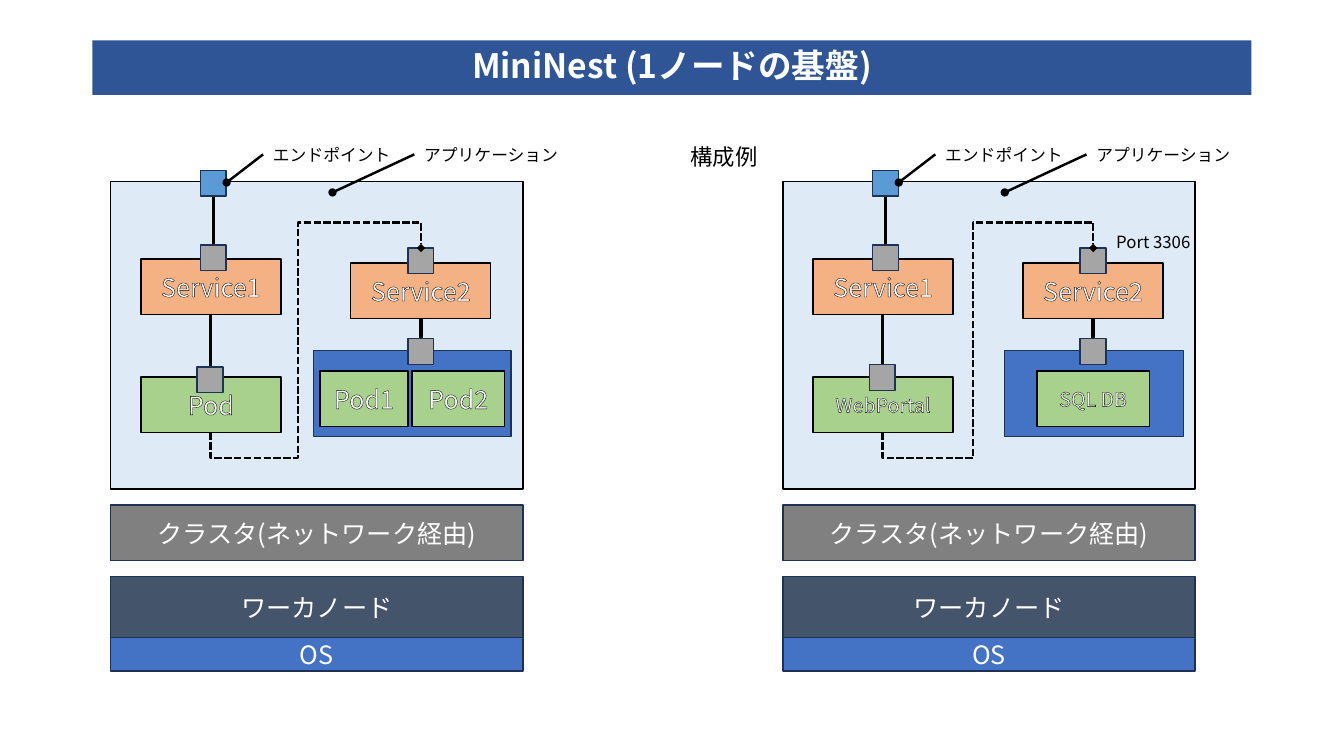
import pptx
import pptx.util
import pptx.dml.color
import pptx.enum.dml
import pptx.enum.shapes
import pptx.enum.text
import pptx.oxml
import pptx.oxml.ns
import lxml.etree

Cm, Pt = pptx.util.Cm, pptx.util.Pt
qn = pptx.oxml.ns.qn

# Content: lengths in cm, x inside a panel counted from its left edge
FONT = "Noto Sans CJK JP"
COLORS = {
    "title": "2F5597", "cluster": "808080", "worker": "44546A", "os": "4472C4",
    "app": "DEEBF7", "service": "F4B183", "pod": "A9D18E", "port": "A5A5A5",
    "endpoint": "5B9BD5", "edge": "1E3256", "black": "000000", "white": "FFFFFF",
}
TITLE = ("MiniNest (1ノードの基盤)", (2.33, 1.02, 29.21, 1.37))
PANEL_W, BOX_W, BOX_H, PORT = 10.39, 3.53, 1.4, 0.65
LABELS = [("エンドポイント", 3.84, 3.51, 3.51), ("アプリケーション", 7.65, 3.51, 3.94)]
POINTERS = [((3.84, 3.89), (2.92, 4.6)), ((7.65, 3.89), (5.59, 4.85))]
SERVICES = [("Service1", 0.76, 6.53), ("Service2", 6.05, 6.63)]
POD_X, POD_Y, INNER_Y = 0.76, 9.5, 9.35
POD_LINE_X, DB_LINE_X, ENTRY_LINE_X = 2.51, 7.82, 2.59
DETOUR = 0.64
PANELS = [
    {"x": 2.79, "pod": ("Pod", 18), "pod_port_y": 9.25, "group": (5.11, 4.98),
     "inner": [("Pod1", 5.28, 2.21, 18), ("Pod2", 7.59, 2.34, 18)],
     "turn_x": 4.72, "notes": []},
    {"x": 19.73, "pod": ("WebPortal", 14), "pod_port_y": 9.19, "group": (5.59, 4.5),
     "inner": [("SQL DB", 6.4, 2.84, 14)],
     "turn_x": 4.8, "notes": [("Port 3306", 8.15, 5.72, 2.69)]},
]
HEADING = ("構成例", 17.15, 3.48, 2.24)

prs = pptx.Presentation()
prs.slide_width, prs.slide_height = Cm(33.87), Cm(19.05)
s = prs.slides.add_slide(prs.slide_layouts[6])


def rgb(name):
    return pptx.dml.color.RGBColor.from_string(COLORS[name])


def write(sp, text, size, color, outlined=False, **frame):
    tf = sp.text_frame
    for key, value in frame.items():
        setattr(tf, key, value)
    p = tf.paragraphs[0]
    r = p.add_run()
    r.text = text
    for key, value in {"name": FONT, "size": Pt(size)}.items():
        setattr(r.font, key, value)
    r.font.color.rgb = rgb(color)
    rpr = r.font._element
    lxml.etree.SubElement(rpr, qn("a:ea")).set("typeface", FONT)
    if outlined:
        ln = lxml.etree.Element(qn("a:ln"), w=str(Pt(0.75)))
        fill = lxml.etree.SubElement(ln, qn("a:solidFill"))
        lxml.etree.SubElement(fill, qn("a:srgbClr")).set("val", COLORS["black"])
        rpr.insert(0, ln)
    return p, r


def box(x, y, w, h, fill, edge="edge", text=None, size=18, outlined=False, parent=s):
    sp = parent.shapes.add_shape(pptx.enum.shapes.MSO_SHAPE.RECTANGLE,
                                 Cm(x), Cm(y), Cm(w), Cm(h))
    sp.shadow.inherit = False
    sp.fill.solid()
    sp.fill.fore_color.rgb = rgb(fill)
    if edge:
        sp.line.color.rgb = rgb(edge)
        sp.line.width = Pt(1)
    else:
        sp.line.fill.background()
    if text:
        p, r = write(sp, text, size, "white", outlined, word_wrap=True,
                     vertical_anchor=pptx.enum.text.MSO_ANCHOR.MIDDLE)
        p.alignment = pptx.enum.text.PP_ALIGN.CENTER
        return p, r


def label(text, x, y, w, size=12):
    sp = s.shapes.add_textbox(Cm(x), Cm(y), Cm(w), Cm(0.76 if size == 12 else 0.94))
    write(sp, text, size, "black", word_wrap=False,
          auto_size=pptx.enum.text.MSO_AUTO_SIZE.SHAPE_TO_FIT_TEXT)


def line(start, end, width=2.5, tail=None, dash=None):
    c = s.shapes.add_connector(pptx.enum.shapes.MSO_CONNECTOR.STRAIGHT,
                               *(Cm(v) for v in (*start, *end)))
    c.line.color.rgb = rgb("black")
    c.line.width = Pt(width)
    if dash:
        c.line.dash_style = dash
    if tail:
        lxml.etree.SubElement(c.line._ln, qn("a:tailEnd")).set("type", tail)
    lxml.etree.SubElement(c._element.spPr, qn("a:effectLst"))
    return c


def detour(start, end, turn_x):
    """Dashed route: down, across, up, across and down into the port."""
    (x1, y1), (x2, y2) = start, end
    cx, cy, run, rise = (x1 + x2) / 2, (y1 + y2) / 2, x2 - x1, y1 - y2
    # A quarter turn swaps width and height around the centre
    c = line((cx + rise / 2, cy + run / 2), (cx - rise / 2, cy - run / 2), 1.75,
             "diamond", pptx.enum.dml.MSO_LINE.SQUARE_DOT)
    sppr = c._element.spPr
    sppr.find(qn("a:xfrm")).set("rot", str(90 * 60000))
    geom = sppr.find(qn("a:prstGeom"))
    geom.set("prst", "bentConnector5")
    av = geom.find(qn("a:avLst"))
    if av is None:
        av = lxml.etree.SubElement(geom, qn("a:avLst"))
    ratios = (-DETOUR / rise, (turn_x - x1) / run, 1 + DETOUR / rise)
    for i, ratio in enumerate(ratios, 1):
        gd = lxml.etree.SubElement(av, qn("a:gd"))
        gd.set("name", f"adj{i}")
        gd.set("fmla", f"val {round(ratio * 100000)}")


def panel(x, pod, pod_port_y, group, inner, turn_x, notes):
    # Cluster and node layers
    box(x, 12.73, PANEL_W, BOX_H, "cluster", text="クラスタ(ネットワーク経由)")
    node = s.shapes.add_group_shape()
    box(x, 14.53, PANEL_W, 1.54, "worker", text="ワーカノード", parent=node)
    box(x, 16.07, PANEL_W, 0.84, "os", text="OS", parent=node)

    # Application with services and pods
    box(x, 4.57, PANEL_W, 7.75, "app", "black")
    for name, dx, y in SERVICES:
        box(x + dx, y, BOX_W, BOX_H, "service", "black", name, outlined=True)
    box(x + POD_X, POD_Y, BOX_W, BOX_H, "pod", "black", *pod, outlined=True)
    box(x + group[0], 8.84, group[1], 2.16, "os")
    for name, dx, w, size in inner:
        box(x + dx, INNER_Y, w, BOX_H, "pod", "black", name, size, True)

    # Links, then the ports they join
    for dx, top, bottom in [(ENTRY_LINE_X, 4.93, 6.17), (POD_LINE_X, 7.9, pod_port_y),
                            (DB_LINE_X, 8.03, 8.53)]:
        line((x + dx, top), (x + dx, bottom))
    for dx, y, fill in [(2.26, 4.29, "endpoint"), (2.26, 6.17, "port"),
                        (2.18, pod_port_y, "port"), (7.49, 6.25, "port"),
                        (7.49, 8.53, "port")]:
        box(x + dx, y, PORT, PORT, fill)
    detour((x + POD_LINE_X, POD_Y + BOX_H), (x + DB_LINE_X, 6.25), x + turn_x)

    # Callouts
    for (x1, y1), (x2, y2) in POINTERS:
        line((x + x1, y1), (x + x2, y2), 1.75, "oval")
    for text, dx, y, w in LABELS + notes:
        label(text, x + dx, y, w)


# Title bar
p, r = box(*TITLE[1], "title", None, TITLE[0], 24)
p.line_spacing = 0.9
r.font.bold = True

# Two panels and the heading between them
for item in PANELS:
    panel(**item)
label(*HEADING, size=16)

prs.save("out.pptx")
